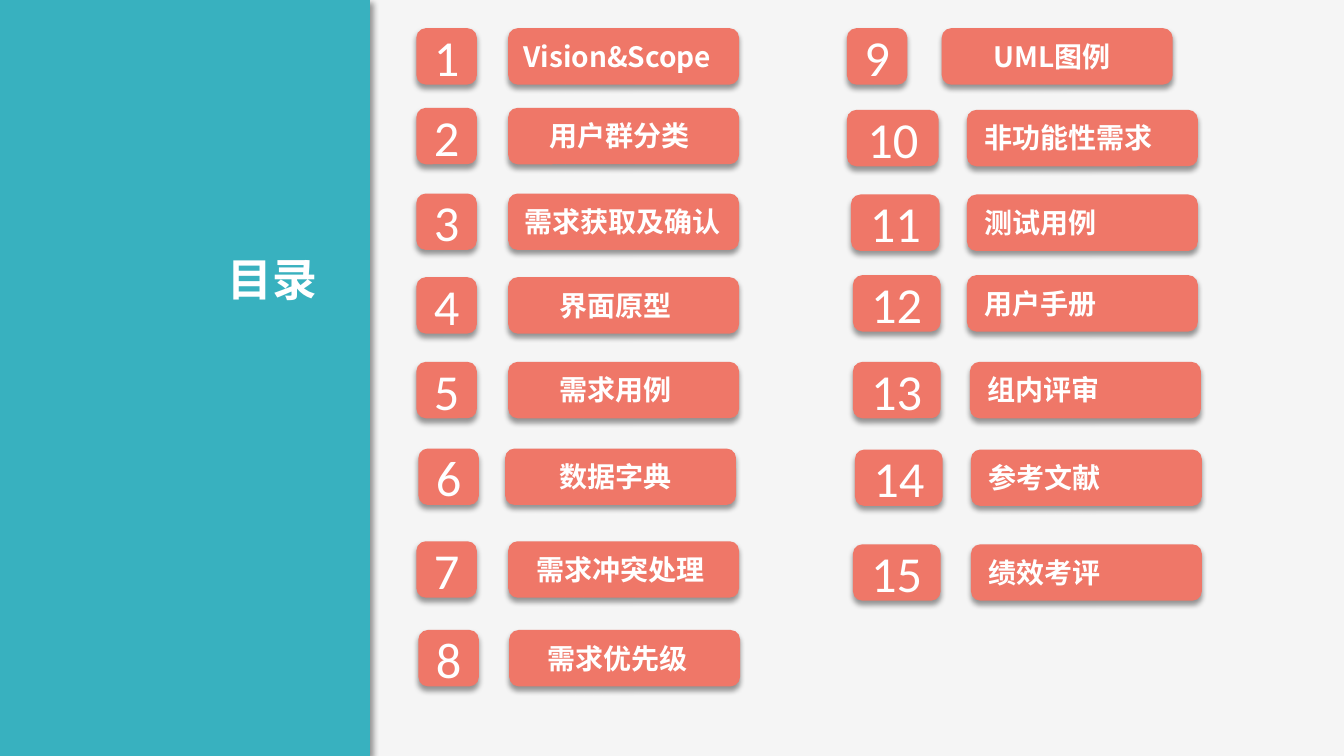
from lxml import etree
from pptx import Presentation
from pptx.dml.color import RGBColor
from pptx.enum.shapes import MSO_SHAPE
from pptx.enum.text import MSO_ANCHOR, MSO_AUTO_SIZE, PP_ALIGN
from pptx.oxml.ns import qn
from pptx.util import Inches, Pt

RECT = MSO_SHAPE.RECTANGLE
ROUND = MSO_SHAPE.ROUNDED_RECTANGLE
MIDDLE = MSO_ANCHOR.MIDDLE
GROW = MSO_AUTO_SIZE.SHAPE_TO_FIT_TEXT
LEFT, CENTER, RIGHT = PP_ALIGN.LEFT, PP_ALIGN.CENTER, PP_ALIGN.RIGHT

WIDE, HIGH = 13.33, 7.5
COLORS = {"page": "F5F5F5", "panel": "38B1BF", "card": "EF7768",
          "text": "FFFFFF", "shadow": "000000"}
HEAD, DIGIT = "Noto Sans CJK SC", "Calibri"

CARD_H, BAR_W = 0.56, 2.29
LABEL_DY, LABEL_H = 0.04, 0.47

# Each entry: label, badge left, badge width, bar left, label left
FIRST = [
    ("Vision&Scope", 4.13, 0.6, 5.04, 5.06),
    ("用户群分类", 4.13, 0.6, 5.04, 5.32),
    ("需求获取及确认", 4.13, 0.6, 5.04, 5.07),
    ("界面原型", 4.13, 0.6, 5.04, 5.42),
    ("需求用例", 4.13, 0.6, 5.04, 5.42),
    ("数据字典", 4.15, 0.6, 5.01, 5.42),
    ("需求冲突处理", 4.13, 0.6, 5.04, 5.19),
    ("需求优先级", 4.15, 0.6, 5.05, 5.3),
]
SECOND = [
    ("UML图例", 8.4, 0.6, 9.34, 9.72),
    ("非功能性需求", 8.4, 0.91, 9.59, 9.63),
    ("测试用例", 8.44, 0.88, 9.59, 9.63),
    ("用户手册", 8.46, 0.87, 9.59, 9.63),
    ("组内评审", 8.46, 0.87, 9.62, 9.66),
    ("参考文献", 8.48, 0.87, 9.63, 9.67),
    ("绩效考评", 8.46, 0.87, 9.63, 9.67),
]
FIRST_ROWS = [0.28, 1.07, 1.92, 2.75, 3.59, 4.45, 5.37, 6.25]
SECOND_ROWS = [0.28, 1.09, 1.93, 2.73, 3.59, 4.46, 5.4]


def paint(fill, name):
    fill.solid()
    fill.fore_color.rgb = RGBColor.from_string(COLORS[name])


def shade(shape, angle):
    """Give the shape a soft outer shadow falling at an angle in degrees."""
    shape.shadow.inherit = False
    effects = shape._element.spPr.find(qn("a:effectLst"))
    outer = etree.SubElement(effects, qn("a:outerShdw"), blurRad=str(Pt(4)),
                             dist=str(Pt(3)), dir=str(angle * 60000),
                             algn="ctr", rotWithShape="0")
    color = etree.SubElement(outer, qn("a:srgbClr"), val=COLORS["shadow"])
    etree.SubElement(color, qn("a:alpha"), val="40000")


def add_block(shapes, kind, box, color, angle=90):
    block = shapes.add_shape(kind, *map(Inches, box))
    paint(block.fill, color)
    block.line.fill.background()
    shade(block, angle)
    return block


def write(shape, text, size, font, align, bold=False):
    frame = shape.text_frame
    frame.margin_left = frame.margin_right = Inches(0.13)
    frame.margin_top = frame.margin_bottom = Inches(0.07)
    frame.word_wrap = True
    frame.text = text
    line = frame.paragraphs[0]
    line.alignment = align
    for run in line.runs:
        run.font.size = Pt(size)
        run.font.name = font
        run.font.bold = bold
        run.font.color.rgb = RGBColor.from_string(COLORS["text"])
        east = etree.SubElement(run.font._element, qn("a:ea"))
        east.set("typeface", font)


def add_label(shapes, box, text, size, align=LEFT):
    label = shapes.add_textbox(*map(Inches, box))
    write(label, text, size, HEAD, align, bold=True)
    label.text_frame.auto_size = GROW


def add_badge(shapes, box, number):
    badge = add_block(shapes, ROUND, box, "card")
    write(badge, str(number), 36, DIGIT, CENTER)
    badge.text_frame.vertical_anchor = MIDDLE


def add_list(shapes, items, rows, start):
    for number, (item, top) in enumerate(zip(items, rows), start):
        text, left, width, bar, label = item
        add_badge(shapes, (left, top, width, CARD_H), number)
        group = shapes.add_group_shape().shapes
        add_block(group, ROUND, (bar, top, BAR_W, CARD_H), "card")
        add_label(group, (label, top + LABEL_DY, 2.48, LABEL_H), text, 20)


def main():
    deck = Presentation()
    deck.slide_width, deck.slide_height = Inches(WIDE), Inches(HIGH)
    slide = deck.slides.add_slide(deck.slide_layouts[6])
    paint(slide.background.fill, "page")
    shapes = slide.shapes
    add_block(shapes, RECT, (-0.12, 0, 3.79, HIGH), "panel", angle=45)
    add_label(shapes, (0.21, 2.43, 3.07, 0.67), "目录", 32, RIGHT)
    add_list(shapes, FIRST, FIRST_ROWS, 1)
    add_list(shapes, SECOND, SECOND_ROWS, len(FIRST) + 1)
    deck.save("out.pptx")


if __name__ == "__main__":
    main()
